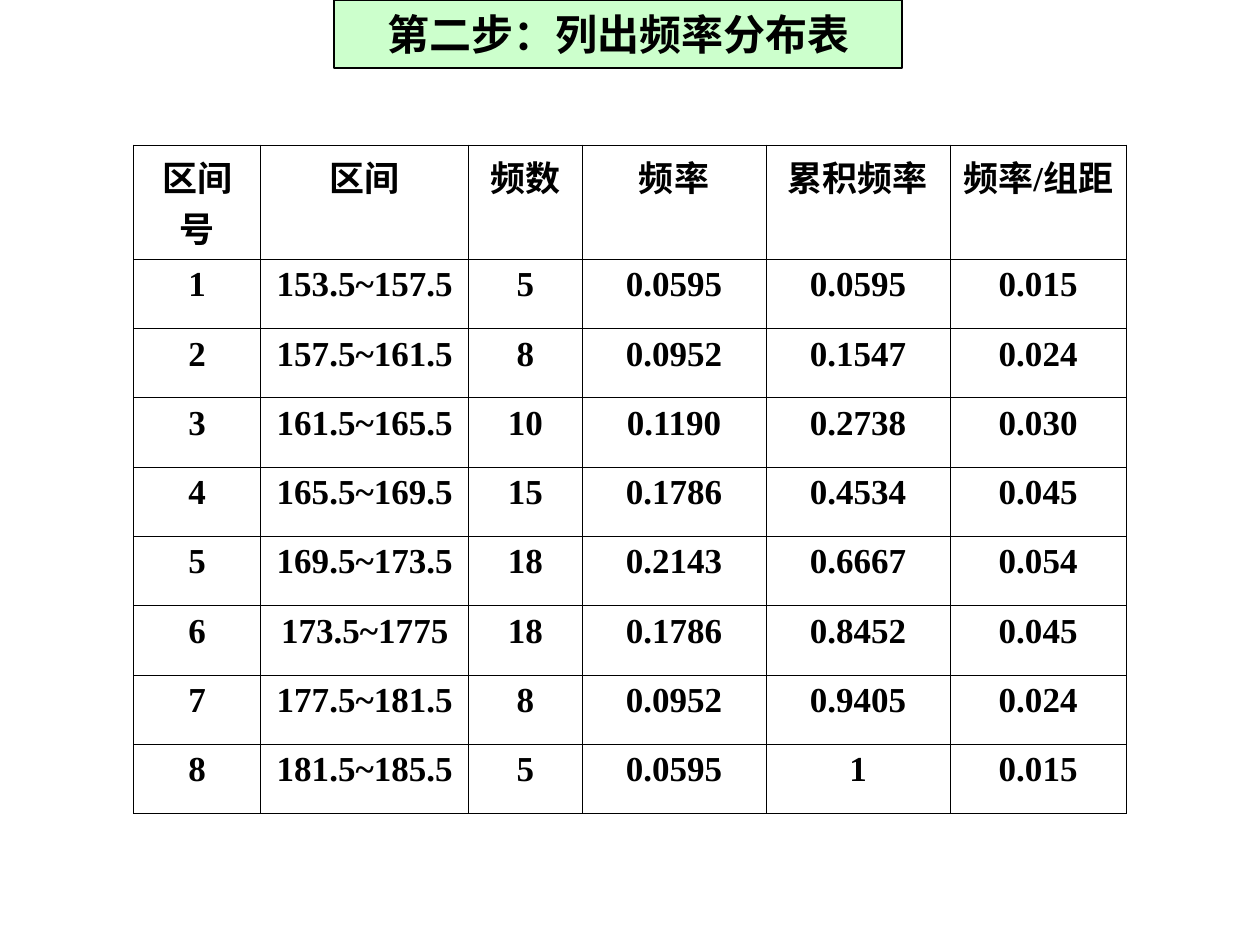
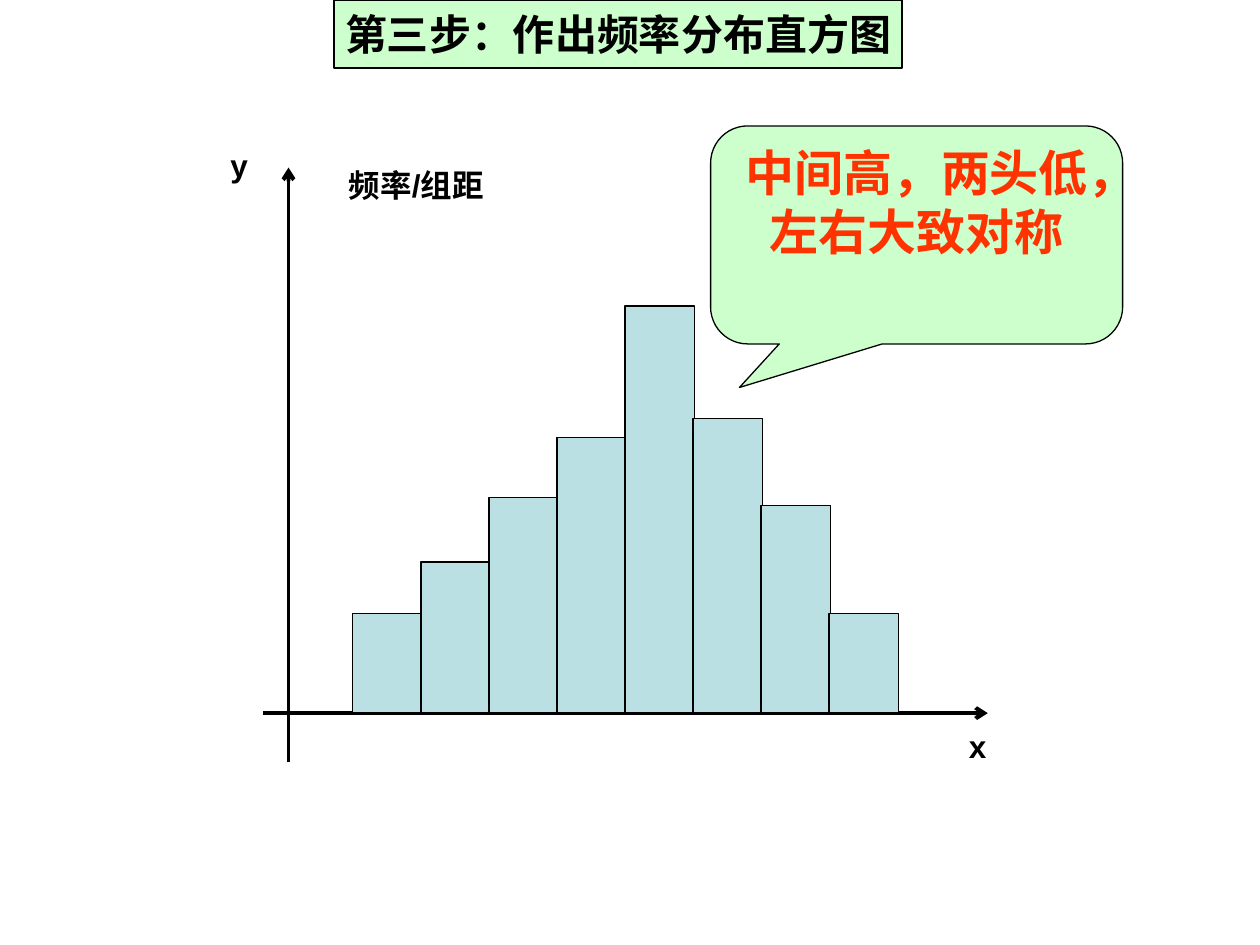
from lxml import etree
from pptx import Presentation
from pptx.dml.color import RGBColor
from pptx.enum.shapes import MSO_CONNECTOR, MSO_SHAPE
from pptx.enum.text import MSO_ANCHOR, PP_ALIGN
from pptx.oxml.ns import qn
from pptx.util import Inches, Pt

RECTANGLE = MSO_SHAPE.RECTANGLE
CALLOUT = MSO_SHAPE.ROUNDED_RECTANGULAR_CALLOUT
STRAIGHT = MSO_CONNECTOR.STRAIGHT
TOP, MIDDLE = MSO_ANCHOR.TOP, MSO_ANCHOR.MIDDLE
LEFT, CENTER = PP_ALIGN.LEFT, PP_ALIGN.CENTER

# Content
TABLE_TITLE = "第二步：列出频率分布表"
CHART_TITLE = "第三步：作出频率分布直方图"
REMARK = "中间高，两头低，左右大致对称"
HEADINGS = ["区间号", "区间", "频数", "频率", "累积频率", "频率/组距"]
INTERVALS = [
    ("153.5~157.5", "5", "0.0595", "0.0595", "0.015"),
    ("157.5~161.5", "8", "0.0952", "0.1547", "0.024"),
    ("161.5~165.5", "10", "0.1190", "0.2738", "0.030"),
    ("165.5~169.5", "15", "0.1786", "0.4534", "0.045"),
    ("169.5~173.5", "18", "0.2143", "0.6667", "0.054"),
    ("173.5~1775", "18", "0.1786", "0.8452", "0.045"),
    ("177.5~181.5", "8", "0.0952", "0.9405", "0.024"),
    ("181.5~185.5", "5", "0.0595", "1", "0.015"),
]
AXIS_LABELS = [  # text, left, top, width
    ("x", 7.59, 5.72, 0.48),
    ("y", 1.73, 1.11, 0.48),
    ("频率/组距", 2.67, 1.27, 1.54),
]

# Shared look
COLORS = {"ink": "000000", "band": "CCFFCC", "bar": "BBE0E3", "remark": "FF3300"}
TITLE_BOX = (2.65, 0, 4.51, 0.54)

# Table measures
TABLE_LEFT, TABLE_TOP = 1.06, 1.15
COLUMN_WIDTHS = [1.01, 1.65, 0.9, 1.46, 1.46, 1.4]
HEADER_HEIGHT, ROW_HEIGHT = 0.77, 0.55

# Histogram measures
BASELINE = 5.66
FIRST_BAR, BAR_STEP, BAR_WIDTH = 2.8, 0.54, 0.55
BAR_HEIGHTS = [0.79, 1.2, 1.71, 2.19, 3.23, 2.34, 1.65, 0.79]
AXES = [(2.29, 6.05, 2.29, 1.33), (2.09, BASELINE, 7.84, BASELINE)]


def color(name):
    return RGBColor.from_string(COLORS[name])


def inches(values):
    return [Inches(value) for value in values]


def write(frame, text, size, font="Arial", ink="ink", align=CENTER):
    para = frame.paragraphs[0]
    para.alignment = align
    span = para.add_run()
    span.text = text
    span.font.name = font
    span.font.size = Pt(size)
    span.font.bold = True
    span.font.color.rgb = color(ink)


def add_outlined(shapes, kind, place, fill):
    shape = shapes.add_shape(kind, *inches(place))
    shape.shadow.inherit = False
    shape.fill.solid()
    shape.fill.fore_color.rgb = color(fill)
    shape.line.color.rgb = color("ink")
    shape.line.width = Pt(0.75)
    return shape


def add_title(page, text):
    box = add_outlined(page.shapes, RECTANGLE, TITLE_BOX, "band")
    box.text_frame.word_wrap = False
    box.text_frame.vertical_anchor = MIDDLE
    write(box.text_frame, text, 24)


def add_axis(shapes, ends):
    axis = shapes.add_connector(STRAIGHT, *inches(ends))
    axis.line.color.rgb = color("ink")
    axis.line.width = Pt(2.25)
    properties = axis._element.spPr
    etree.SubElement(properties.find(qn("a:ln")), qn("a:tailEnd"), type="arrow")
    etree.SubElement(properties, qn("a:effectLst"))


def add_borders(cell):
    properties = cell._tc.get_or_add_tcPr()
    for side in ("lnL", "lnR", "lnT", "lnB"):
        line = etree.SubElement(properties, qn(f"a:{side}"), w=str(Pt(0.45)))
        fill = etree.SubElement(line, qn("a:solidFill"))
        etree.SubElement(fill, qn("a:srgbClr"), val=COLORS["ink"])


def build_table_page(page):
    rows = [HEADINGS]
    rows += [(str(number), *values) for number, values in enumerate(INTERVALS, 1)]
    heights = [HEADER_HEIGHT] + [ROW_HEIGHT] * len(INTERVALS)
    place = (TABLE_LEFT, TABLE_TOP, sum(COLUMN_WIDTHS), sum(heights))
    table = page.shapes.add_table(len(rows), len(HEADINGS), *inches(place)).table
    table.first_row = table.horz_banding = False
    for column, width in zip(table.columns, COLUMN_WIDTHS):
        column.width = Inches(width)
    for row, height, texts in zip(table.rows, heights, rows):
        row.height = Inches(height)
        for cell, text in zip(row.cells, texts):
            add_borders(cell)
            cell.fill.background()
            write(cell.text_frame, text, 20, "Times New Roman")
    add_title(page, TABLE_TITLE)


def build_histogram_page(page):
    histogram = page.shapes.add_group_shape().shapes
    for ends in AXES:
        add_axis(histogram, ends)

    # Bars stand on the baseline at an equal step
    for index, height in enumerate(BAR_HEIGHTS):
        place = (FIRST_BAR + index * BAR_STEP, BASELINE - height, BAR_WIDTH, height)
        add_outlined(histogram, RECTANGLE, place, "bar")

    for text, left, top, width in AXIS_LABELS:
        box = histogram.add_textbox(*inches((left, top, width, 0.4)))
        box.text_frame.word_wrap = True
        write(box.text_frame, text, 18, align=LEFT)

    # Remark on the shape of the distribution
    callout = add_outlined(page.shapes, CALLOUT, (5.64, 1, 3.27, 1.73), "band")
    for index, value in enumerate((-0.43, 0.7, 0.17)):
        callout.adjustments[index] = value
    callout.text_frame.word_wrap = True
    callout.text_frame.vertical_anchor = TOP
    write(callout.text_frame, REMARK, 28, ink="remark")
    add_title(page, CHART_TITLE)


def main():
    deck = Presentation()
    deck.slide_width, deck.slide_height = Inches(10), Inches(7.5)
    blank = deck.slide_layouts[6]
    for build in (build_table_page, build_histogram_page):
        build(deck.slides.add_slide(blank))
    deck.save("out.pptx")


if __name__ == "__main__":
    main()
